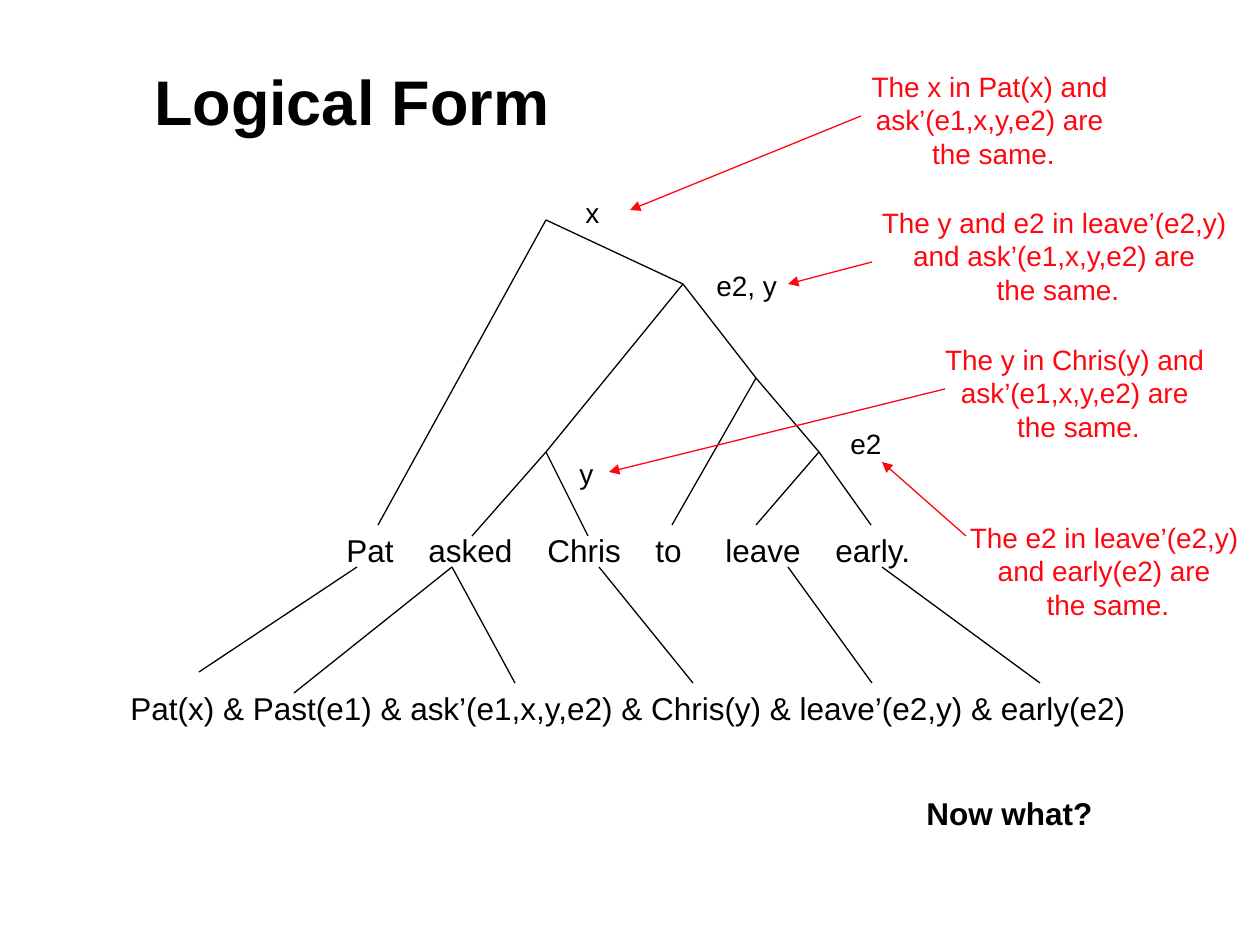
import dataclasses
import typing

import lxml.etree
import pptx
import pptx.dml.color
import pptx.enum.shapes
import pptx.enum.text
import pptx.oxml.ns
import pptx.util

EMU_PER_PX = 914400 / 126
BLACK = pptx.dml.color.RGBColor(0x00, 0x00, 0x00)
RED = pptx.dml.color.RGBColor(0xFF, 0x07, 0x10)
LEFT = pptx.enum.text.PP_ALIGN.LEFT
CENTER = pptx.enum.text.PP_ALIGN.CENTER
TOP = pptx.enum.text.MSO_ANCHOR.TOP
MIDDLE = pptx.enum.text.MSO_ANCHOR.MIDDLE
GROW = pptx.enum.text.MSO_AUTO_SIZE.SHAPE_TO_FIT_TEXT
FIXED = pptx.enum.text.MSO_AUTO_SIZE.NONE


class Point(typing.NamedTuple):
    x: int
    y: int


class Edge(typing.NamedTuple):
    start: Point
    end: Point


@dataclasses.dataclass(frozen=True)
class Text:
    left: int
    top: int
    width: int
    height: int
    lines: tuple[str, ...]
    size: int = 18
    bold: bool = False
    color: pptx.dml.color.RGBColor = BLACK
    alignment: pptx.enum.text.PP_ALIGN = LEFT
    anchor: pptx.enum.text.MSO_ANCHOR = TOP
    auto_size: pptx.enum.text.MSO_AUTO_SIZE = GROW
    tab_stops: tuple[int, ...] = ()


@dataclasses.dataclass(frozen=True)
class Note:
    left: int
    top: int
    width: int
    lines: tuple[str, ...]
    arrow: Edge


def px(length: int) -> pptx.util.Emu:
    return pptx.util.Emu(round(length * EMU_PER_PX))


def set_attributes(target: typing.Any, values: dict[str, typing.Any]) -> None:
    for name, value in values.items():
        setattr(target, name, value)


def add_tab_stops(paragraph: typing.Any, stops: tuple[int, ...]) -> None:
    properties = paragraph._p.get_or_add_pPr()
    tab_list = lxml.etree.SubElement(properties, pptx.oxml.ns.qn("a:tabLst"))
    for stop in stops:
        lxml.etree.SubElement(
            tab_list, pptx.oxml.ns.qn("a:tab"), pos=str(px(stop)), algn="l"
        )


def draw_text(slide: typing.Any, text: Text) -> None:
    shape = slide.shapes.add_textbox(
        px(text.left), px(text.top), px(text.width), px(text.height)
    )
    frame = shape.text_frame
    set_attributes(frame, {
        "text": "\n".join(text.lines),
        "word_wrap": bool(text.tab_stops),
        "auto_size": text.auto_size,
        "vertical_anchor": text.anchor,
    })
    for paragraph in frame.paragraphs:
        paragraph.alignment = text.alignment
        if text.tab_stops:
            add_tab_stops(paragraph, text.tab_stops)
        for run in paragraph.runs:
            set_attributes(run.font, {
                "name": "Arial",
                "size": pptx.util.Pt(text.size),
                "bold": text.bold,
            })
            run.font.color.rgb = text.color


def draw_line(
    slide: typing.Any,
    edge: Edge,
    color: pptx.dml.color.RGBColor = BLACK,
    arrow: bool = False,
) -> None:
    connector = slide.shapes.add_connector(
        pptx.enum.shapes.MSO_CONNECTOR.STRAIGHT,
        *(px(length) for point in edge for length in point),
    )
    connector.line.width = pptx.util.Pt(0.75)
    connector.line.color.rgb = color
    if arrow:
        lxml.etree.SubElement(
            connector.line._get_or_add_ln(),
            pptx.oxml.ns.qn("a:tailEnd"),
            type="triangle",
        )
    lxml.etree.SubElement(
        connector._element.spPr, pptx.oxml.ns.qn("a:effectLst")
    )


def draw_note(slide: typing.Any, note: Note) -> None:
    draw_text(slide, Text(
        note.left, note.top, note.width, 113, note.lines,
        size=16, color=RED, alignment=CENTER,
    ))
    draw_line(slide, note.arrow, RED, arrow=True)


ROOT = Point(546, 220)
VERB_PHRASE = Point(683, 284)
INFINITIVE = Point(756, 378)
ASKED_CHRIS = Point(546, 452)
LEAVE_EARLY = Point(819, 452)

BRANCHES = {
    ROOT: (Point(378, 525), VERB_PHRASE),
    VERB_PHRASE: (ASKED_CHRIS, INFINITIVE),
    INFINITIVE: (Point(672, 525), LEAVE_EARLY),
    ASKED_CHRIS: (Point(472, 536), Point(588, 536)),
    LEAVE_EARLY: (Point(756, 525), Point(871, 525)),
    Point(357, 567): (Point(199, 672),),
    Point(452, 567): (Point(294, 693), Point(515, 683)),
    Point(599, 567): (Point(693, 683),),
    Point(788, 567): (Point(872, 683),),
    Point(882, 567): (Point(1040, 683),),
}

TEXTS = (
    Text(42, 21, 620, 158, ("Logical Form",), size=36, bold=True,
         alignment=CENTER, anchor=MIDDLE, auto_size=FIXED),
    Text(334, 525, 592, 50, ("Pat\tasked\tChris\tto\tleave\tearly.",),
         tab_stops=(82, 201, 309, 379, 489)),
    Text(118, 683, 1024, 50, (
        "Pat(x) & Past(e1) & ask’(e1,x,y,e2) & Chris(y)"
        " & leave’(e2,y) & early(e2)",
    )),
    Text(838, 420, 60, 47, ("e2",), size=16),
    Text(704, 262, 88, 47, ("e2, y",), size=16),
    Text(567, 450, 41, 47, ("y",), size=16),
    Text(573, 189, 41, 47, ("x",), size=16),
    Text(914, 788, 192, 50, ("Now what?",), bold=True),
)

NOTES = (
    Note(858, 63, 271,
         ("The x in Pat(x) and ", "ask’(e1,x,y,e2) are ", "the same."),
         Edge(Point(861, 116), Point(630, 210))),
    Note(868, 199, 380,
         ("The y and e2 in leave’(e2,y) ", "and ask’(e1,x,y,e2) are ",
          "the same."),
         Edge(Point(872, 262), Point(788, 284))),
    Note(931, 336, 295,
         ("The y in Chris(y) and ", "ask’(e1,x,y,e2) are ", "the same."),
         Edge(Point(945, 389), Point(609, 472))),
    Note(956, 514, 304,
         ("The e2 in leave’(e2,y) ", "and early(e2) are ", "the same."),
         Edge(Point(966, 536), Point(882, 462))),
)


def main() -> None:
    presentation = pptx.Presentation()
    set_attributes(presentation, {
        "slide_width": px(1260), "slide_height": px(945),
    })
    slide = presentation.slides.add_slide(presentation.slide_layouts[6])
    for text in TEXTS:
        draw_text(slide, text)
    for parent, children in BRANCHES.items():
        for child in children:
            draw_line(slide, Edge(parent, child))
    for note in NOTES:
        draw_note(slide, note)
    presentation.save("out.pptx")


if __name__ == "__main__":
    main()
